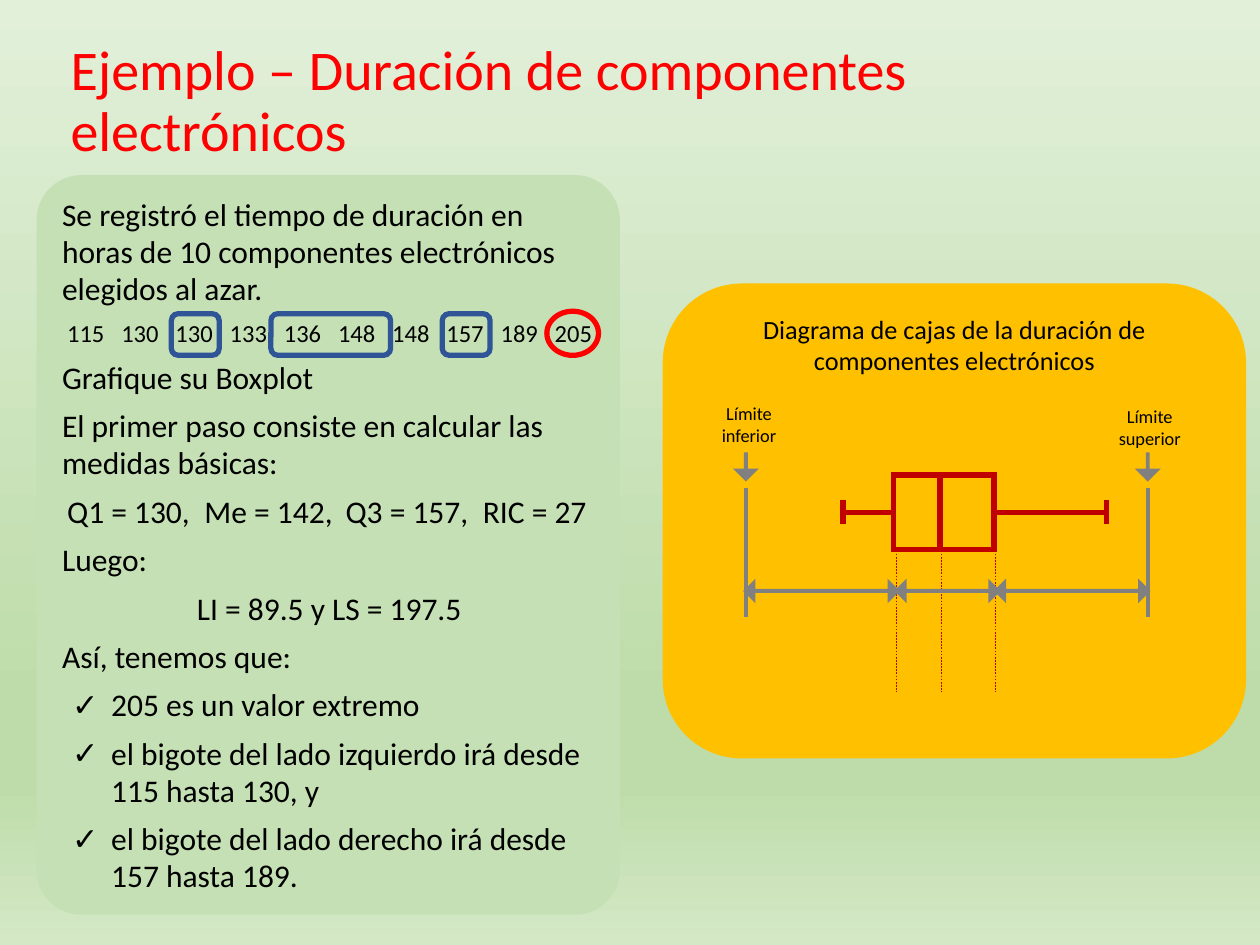
from dataclasses import dataclass

from lxml.etree import SubElement
from pptx import Presentation
from pptx.dml.color import RGBColor
from pptx.enum.dml import MSO_LINE
from pptx.enum.shapes import MSO_CONNECTOR, MSO_SHAPE
from pptx.enum.text import MSO_ANCHOR, PP_ALIGN
from pptx.oxml.ns import qn
from pptx.util import Inches, Pt


@dataclass(frozen=True)
class Theme:
    font: str = "Calibri"
    title: str = "FF0000"
    text: str = "000000"
    panel: str = "C5E0B4"
    diagram: str = "FFC000"
    box: str = "C00000"
    quartile: str = "2F5597"
    outlier: str = "FF0000"
    limit: str = "808080"
    background: tuple = ((0, "E2F0D9"), (74, "BEDCAA"), (83, "BEDCAA"), (100, "D4E8C6"))
    title_size: float = 32
    body_size: float = 18
    data_size: float = 14
    caption_size: float = 15
    label_size: float = 10.5


THEME = Theme()
DATA = (115, 130, 130, 133, 136, 148, 148, 157, 189, 205)
DATA_STOPS = [0.43 * column for column in range(1, len(DATA))]
MEASURES = ("Q1 = 130,", "Me = 142,", "Q3 = 157,", "RIC = 27")
MEASURE_STOPS = (1.09, 2.21, 3.3)
BOX_TOP, BOX_HEIGHT = 3.77, 0.59
WHISKER_Y = BOX_TOP + BOX_HEIGHT / 2
LOWER_LIMIT, UPPER_LIMIT = 5.92, 9.11


def rgb(color):
    return RGBColor.from_string(color)


def paint_background(slide):
    fill = slide.background.fill
    fill.gradient()
    fill.gradient_angle = 270
    stops = slide.element.find(".//" + qn("a:gsLst"))
    for stop in list(stops):
        stops.remove(stop)
    for position, color in THEME.background:
        stop = SubElement(stops, qn("a:gs"), pos=str(position * 1000))
        SubElement(stop, qn("a:srgbClr"), val=color)


def style_paragraph(paragraph, size, color=THEME.text, align=PP_ALIGN.LEFT):
    paragraph.alignment = align
    paragraph.font.name = THEME.font
    paragraph.font.size = Pt(size)
    paragraph.font.color.rgb = rgb(color)


def add_title(slide, text):
    title = slide.shapes.title
    title.left, title.top = Inches(0.46), Inches(0.09)
    title.width, title.height = Inches(9), Inches(1.45)
    title.text_frame.text = text
    title.text_frame.vertical_anchor = MSO_ANCHOR.MIDDLE
    paragraph = title.text_frame.paragraphs[0]
    paragraph.line_spacing = 0.9
    style_paragraph(paragraph, THEME.title_size, THEME.title)


def add_figure(slide, kind, left, top, width, height, fill=None, line=None,
               weight=3, adjustments=()):
    figure = slide.shapes.add_shape(
        kind, Inches(left), Inches(top), Inches(width), Inches(height))
    figure.shadow.inherit = False
    for index, value in enumerate(adjustments):
        figure.adjustments[index] = value
    if fill:
        figure.fill.solid()
        figure.fill.fore_color.rgb = rgb(fill)
    else:
        figure.fill.background()
    if line:
        figure.line.color.rgb = rgb(line)
        figure.line.width = Pt(weight)
        SubElement(figure.element.spPr.find(qn("a:ln")), qn("a:miter"), lim="800000")
    else:
        figure.line.fill.background()
    return figure


def add_line(slide, start, end, color, weight, dash=None):
    line = slide.shapes.add_connector(
        MSO_CONNECTOR.STRAIGHT, *(Inches(value) for value in (*start, *end)))
    line.line.color.rgb = rgb(color)
    line.line.width = Pt(weight)
    if dash:
        line.line.dash_style = dash
    SubElement(line.element.spPr, qn("a:effectLst"))
    return line


def add_check(paragraph):
    paragraph.level = 1
    properties = paragraph._p.get_or_add_pPr()
    properties.set("marL", str(Inches(0.39)))
    properties.set("indent", str(Inches(-0.31)))
    SubElement(properties, qn("a:buFont"), typeface=THEME.font)
    SubElement(properties, qn("a:buChar"), char="✓")


def add_tabs(paragraph, stops):
    properties = paragraph._p.get_or_add_pPr()
    properties.set("marL", str(Inches(0.04)))
    tabs = SubElement(properties, qn("a:tabLst"))
    for stop in stops:
        SubElement(tabs, qn("a:tab"), pos=str(Inches(stop)), algn="l")


def add_explanation(slide):
    panel = add_figure(slide, MSO_SHAPE.ROUNDED_RECTANGLE, 0.29, 1.39, 4.63, 5.87,
                       fill=THEME.panel, adjustments=(0.077,))
    frame = panel.text_frame
    frame.word_wrap = True
    frame.vertical_anchor = MSO_ANCHOR.TOP
    frame.margin_top = Inches(0.07)
    frame.margin_right = Inches(0.08)
    content = (
        ("text", "Se registró el tiempo de duración en horas de 10 componentes "
                 "electrónicos elegidos al azar."),
        ("data", "\t".join(str(hours) for hours in DATA)),
        ("text", "Grafique su Boxplot"),
        ("text", "El primer paso consiste en calcular las medidas básicas:"),
        ("measures", "\t".join(MEASURES)),
        ("text", "Luego:"),
        ("formula", "LI = 89.5 y LS = 197.5"),
        ("text", "Así, tenemos que:"),
        ("check", "205 es un valor extremo"),
        ("check", "el bigote del lado izquierdo irá desde 115 hasta 130, y"),
        ("check", "el bigote del lado derecho irá desde 157 hasta 189."),
    )
    tab_stops = {"data": DATA_STOPS, "measures": MEASURE_STOPS}
    for index, (role, text) in enumerate(content):
        paragraph = frame.add_paragraph() if index else frame.paragraphs[0]
        paragraph.text = text
        if role == "check":
            add_check(paragraph)
        elif role in tab_stops:
            add_tabs(paragraph, tab_stops[role])
        paragraph.space_before = Pt(6.5 if index else 0)
        paragraph.line_spacing = 0.98
        style_paragraph(paragraph,
                        THEME.data_size if role == "data" else THEME.body_size,
                        align=PP_ALIGN.CENTER if role == "formula" else PP_ALIGN.LEFT)


def add_diagram_panel(slide):
    panel = add_figure(slide, MSO_SHAPE.ROUNDED_RECTANGLE, 5.26, 2.25, 4.63, 3.77,
                       fill=THEME.diagram)
    frame = panel.text_frame
    frame.word_wrap = True
    frame.vertical_anchor = MSO_ANCHOR.TOP
    frame.text = "Diagrama de cajas de la duración de componentes electrónicos"
    style_paragraph(frame.paragraphs[0], THEME.caption_size, align=PP_ALIGN.CENTER)


def add_boxplot(slide):
    box = add_figure(slide, MSO_SHAPE.RECTANGLE, 7.09, BOX_TOP, 0.8, BOX_HEIGHT,
                     line=THEME.box)
    add_line(slide, (7.46, BOX_TOP), (7.46, BOX_TOP + BOX_HEIGHT), THEME.box, 3)
    # Whiskers with their end caps
    for side, box_edge, tip in ((1, 7.09, 6.69), (3, 7.89, 8.78)):
        whisker = add_line(slide, (box_edge, WHISKER_Y), (tip, WHISKER_Y), THEME.box, 3)
        whisker.begin_connect(box, side)
        add_line(slide, (tip, 3.97), (tip, 4.16), THEME.box, 3)
    # Quartile guides
    for guide in (7.11, 7.47, 7.9):
        add_line(slide, (guide, 4.37), (guide, 5.49), THEME.box, 0.25, MSO_LINE.DASH)


def add_data_marks(slide):
    for left, width in ((2.15, 0.95), (1.36, 0.38), (3.51, 0.38)):
        add_figure(slide, MSO_SHAPE.ROUNDED_RECTANGLE, left, 2.49, width, 0.33,
                   line=THEME.quartile)
    add_figure(slide, MSO_SHAPE.OVAL, 4.34, 2.47, 0.41, 0.35, line=THEME.outlier)


def add_limit(slide, x, text, label_left, label_top, label_width):
    add_line(slide, (x, 3.87), (x, 4.9), THEME.limit, 2.25)
    add_figure(slide, MSO_SHAPE.DOWN_ARROW, x - 0.065, 3.59, 0.13, 0.21,
               THEME.limit, THEME.limit, 2.25, (0, 0.5))
    label = slide.shapes.add_textbox(Inches(label_left), Inches(label_top),
                                     Inches(label_width), Inches(0.63))
    label.text_frame.word_wrap = True
    label.text_frame.text = text
    style_paragraph(label.text_frame.paragraphs[0], THEME.label_size,
                    align=PP_ALIGN.CENTER)


def main():
    deck = Presentation()
    deck.slide_width, deck.slide_height = Inches(10), Inches(7.5)
    slide = deck.slides.add_slide(deck.slide_layouts[5])
    paint_background(slide)
    add_title(slide, "Ejemplo – Duración de componentes electrónicos")

    # Panels and box plot
    add_explanation(slide)
    add_diagram_panel(slide)
    add_boxplot(slide)
    add_data_marks(slide)

    # Distances between the limits and the quartiles
    for left, width in ((LOWER_LIMIT, 1.2), (7.12, 0.8), (7.91, 1.2)):
        add_figure(slide, MSO_SHAPE.LEFT_RIGHT_ARROW, left, 4.63, width, 0.12,
                   THEME.limit, THEME.limit, 2.25, (0.01, 0.5))
    add_limit(slide, LOWER_LIMIT, "Límite\vinferior", 5.61, 3.14, 0.67)
    add_limit(slide, UPPER_LIMIT, "Límite\vsuperior", 8.77, 3.17, 0.71)
    deck.save("out.pptx")


if __name__ == "__main__":
    main()
